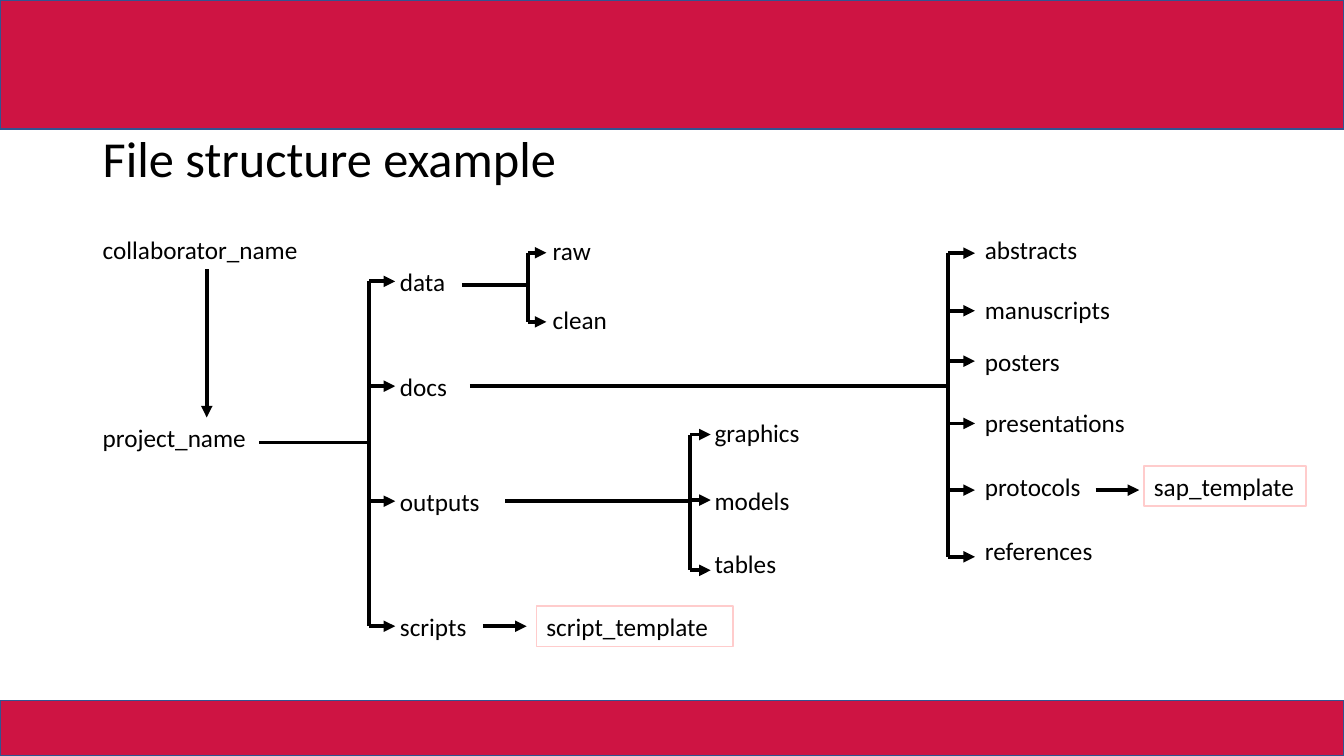
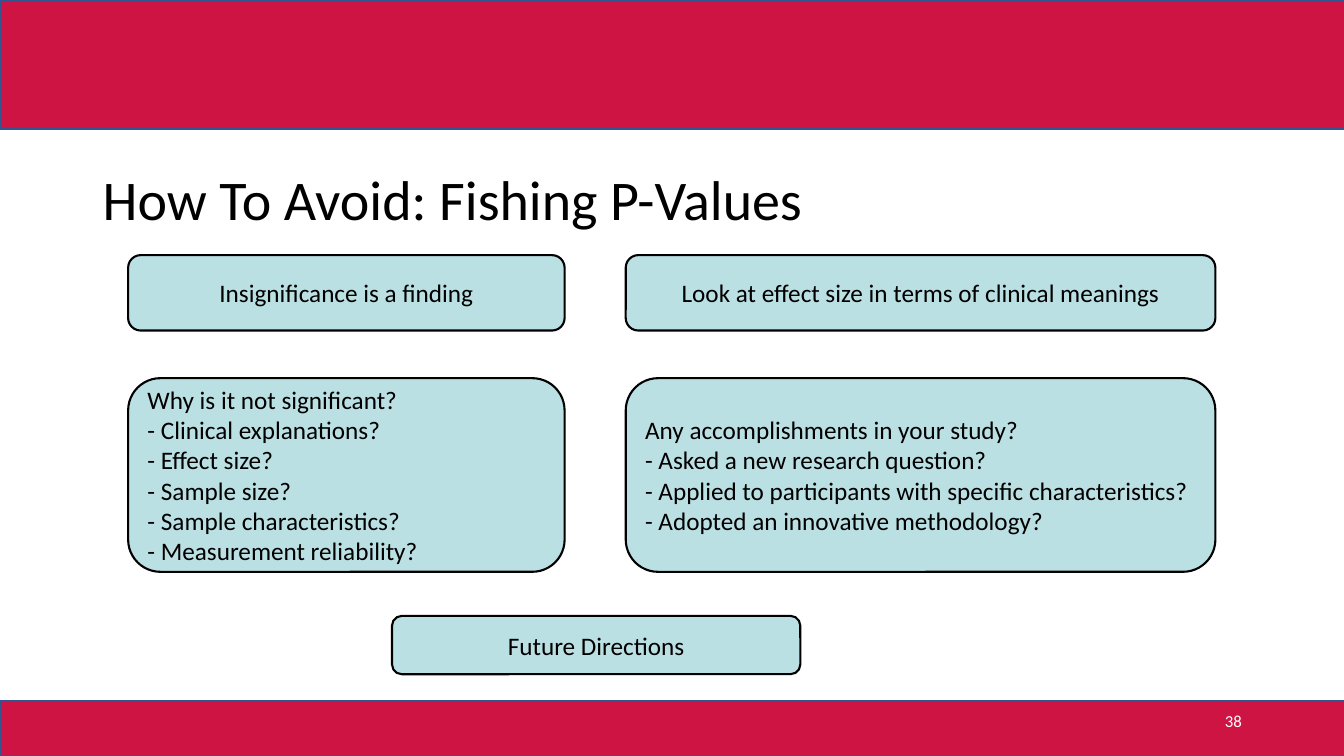
from dataclasses import dataclass

from lxml import etree
from pptx import Presentation
from pptx.dml.color import RGBColor
from pptx.enum.shapes import MSO_CONNECTOR, MSO_SHAPE
from pptx.enum.text import MSO_ANCHOR, PP_ALIGN
from pptx.oxml.ns import qn
from pptx.util import Cm, Pt

BLACK = RGBColor(0x00, 0x00, 0x00)
WHITE = RGBColor(0xFF, 0xFF, 0xFF)
CRIMSON = RGBColor(0xCE, 0x14, 0x43)
BAND_EDGE = RGBColor(0x32, 0x54, 0x91)
PALE_RED = RGBColor(0xFF, 0xCC, 0xCC)
PALE_TEAL = RGBColor(0xBB, 0xE0, 0xE3)

FONT = "Calibri"
BODY_SIZE = 18
LABEL_HEIGHT = 1.02


@dataclass
class Box:
    """An area in centimetres."""
    left: float
    top: float
    width: float
    height: float

    def inner(self, x, y, width, height):
        """Return an area whose corner is given relative to this one."""
        return Box(self.left + x, self.top + y, width, height)

    def lengths(self):
        return [Cm(n) for n in (self.left, self.top, self.width, self.height)]


PAGE = Box(0, 0, 33.87, 19.05)
HEADER = PAGE.inner(0, 0, PAGE.width, 3.25)
FOOTER = PAGE.inner(0, 17.65, PAGE.width, 1.4)


@dataclass
class Branch:
    """A stem that meets a vertical spine, with an arrow to each entry."""
    stem_start: float
    stem_y: float
    spine_x: float
    arrow_end: float
    label_x: float
    label_width: float
    entries: list  # (name, middle of the label, height of the arrow)


BRANCHES = [
    Branch(4.19, 5.38, 6.96, 7.62, 7.49, 2.7, [
        ("data", 1.32, 1.32), ("docs", 3.96, 3.96),
        ("outputs", 6.86, 6.86), ("scripts", 10.01, 10.01)]),
    Branch(9.3, 1.41, 10.97, 11.43, 11.34, 2.64, [
        ("raw", 0.53, 0.6), ("clean", 2.29, 2.34)]),
    Branch(10.39, 6.86, 15.06, 15.57, 15.42, 3.07, [
        ("graphics", 5.13, 5.18), ("models", 6.83, 6.83),
        ("tables", 8.43, 8.6)]),
    Branch(9.5, 3.96, 21.56, 22.23, 22.23, 4.1, [
        ("abstracts", 0.51, 0.61), ("manuscripts", 2.03, 2.06),
        ("posters", 3.33, 3.33), ("presentations", 4.88, 4.9),
        ("protocols", 6.48, 6.58), ("references", 8.1, 8.26)]),
]

# name, middle of the label, arrow start, arrow height, label left, label width
TEMPLATES = [
    ("script_template", 10.01, 9.83, 10.01, 11.18, 4.95),
    ("sap_template", 6.48, 25.27, 6.58, 26.49, 4.09),
]
TEMPLATE_ARROW = 1.1

ADVICE = [
    (11.0, "Insignificance is a finding", [
        "Why is it not significant?",
        "- Clinical explanations?",
        "- Effect size?",
        "- Sample size?",
        "- Sample characteristics?",
        "- Measurement reliability?"]),
    (14.86, "Look at effect size in terms of clinical meanings", [
        "Any accomplishments in your study?",
        "- Asked a new research question?",
        "- Applied to participants with specific characteristics?",
        "- Adopted an innovative methodology?"]),
]


def write(frame, lines, size=BODY_SIZE, color=BLACK, align=PP_ALIGN.LEFT,
          anchor=MSO_ANCHOR.MIDDLE, spacing=None):
    frame.word_wrap = True
    frame.vertical_anchor = anchor
    frame.text = "\n".join(lines)
    for paragraph in frame.paragraphs:
        paragraph.alignment = align
        paragraph.line_spacing = spacing
        paragraph.font.name = FONT
        paragraph.font.size = Pt(size)
        paragraph.font.color.rgb = color


def add_text(slide, box, text, **style):
    label = slide.shapes.add_textbox(*box.lengths())
    write(label.text_frame, [text], **style)
    return label


def add_panel(slide, box, preset, fill, edge, edge_width):
    panel = slide.shapes.add_shape(preset, *box.lengths())
    panel.shadow.inherit = False
    panel.fill.solid()
    panel.fill.fore_color.rgb = fill
    panel.line.color.rgb = edge
    panel.line.width = Pt(edge_width)
    return panel


def add_line(slide, box, start, end, arrow=False):
    """Join two points given relative to the box."""
    (x1, y1), (x2, y2) = start, end
    line = slide.shapes.add_connector(
        MSO_CONNECTOR.STRAIGHT, Cm(box.left + x1), Cm(box.top + y1),
        Cm(box.left + x2), Cm(box.top + y2))
    line.line.color.rgb = BLACK
    line.line.width = Pt(2.75)
    properties = line._element.spPr
    if arrow:
        outline = properties.find(qn("a:ln"))
        etree.SubElement(outline, qn("a:tailEnd"), type="triangle")
    etree.SubElement(properties, qn("a:effectLst"))


def add_label(slide, box, name, x, middle, width):
    area = box.inner(x, middle - LABEL_HEIGHT / 2, width, LABEL_HEIGHT)
    return add_text(slide, area, name)


def add_base(deck, title, title_box, size, anchor):
    """Add a slide with the two bands and its title."""
    slide = deck.slides.add_slide(deck.slide_layouts[6])
    for band in (HEADER, FOOTER):
        add_panel(slide, band, MSO_SHAPE.RECTANGLE, CRIMSON, BAND_EDGE, 1)
    add_text(slide, title_box, title, size=size, anchor=anchor, spacing=0.9)
    return slide


def add_branch(slide, box, branch):
    spine = branch.spine_x
    heights = [arrow_y for _, _, arrow_y in branch.entries]
    add_line(slide, box, (branch.stem_start, branch.stem_y),
             (spine, branch.stem_y))
    add_line(slide, box, (spine, heights[0]), (spine, heights[-1]))
    for name, middle, arrow_y in branch.entries:
        add_line(slide, box, (spine, arrow_y), (branch.arrow_end, arrow_y),
                 arrow=True)
        add_label(slide, box, name, branch.label_x, middle,
                  branch.label_width)


def add_folder_tree(slide, box):
    for name, middle in (("collaborator_name", 0.51), ("project_name", 5.26)):
        add_label(slide, box, name, 0, middle, 5.77)
    add_line(slide, box, (2.87, 1.02), (2.87, 4.75), arrow=True)
    for branch in BRANCHES:
        add_branch(slide, box, branch)
    for name, middle, start, arrow_y, left, width in TEMPLATES:
        add_line(slide, box, (start, arrow_y),
                 (start + TEMPLATE_ARROW, arrow_y), arrow=True)
        template = add_label(slide, box, name, left, middle, width)
        template.line.color.rgb = PALE_RED
        template.line.width = Pt(1.25)


def add_card(slide, box, lines, align):
    card = add_panel(slide, box, MSO_SHAPE.ROUNDED_RECTANGLE, PALE_TEAL,
                     BLACK, 1.5)
    write(card.text_frame, lines, align=align)


def add_advice(slide, box):
    """Two columns of heading and details above a closing card."""
    x, gap = 0, 1.54
    for width, heading, details in ADVICE:
        add_card(slide, box.inner(x, 0, width, 1.9), [heading],
                 PP_ALIGN.CENTER)
        add_card(slide, box.inner(x, 3.1, width, 4.88), details,
                 PP_ALIGN.LEFT)
        x += width + gap
    add_card(slide, box.inner(6.65, 9.09, 10.29, 1.47), ["Future Directions"],
             PP_ALIGN.CENTER)


def build_file_structure(deck):
    slide = add_base(deck, "File structure example",
                     Box(2.34, 3.25, 29.21, 1.83), 36, MSO_ANCHOR.TOP)
    add_folder_tree(slide, Box(2.34, 5.77, 30.58, 10.52))


def build_fishing(deck):
    slide = add_base(deck, "How To Avoid: Fishing P-Values",
                     Box(2.34, 3.25, 29.21, 3.68), 40, MSO_ANCHOR.MIDDLE)
    add_advice(slide, Box(3.23, 6.43, 27.4, 10.56))
    add_text(slide, FOOTER.inner(23.93, 0, 7.62, 1.02), "38", size=12,
             color=WHITE, align=PP_ALIGN.RIGHT)


def main():
    deck = Presentation()
    deck.slide_width = Cm(PAGE.width)
    deck.slide_height = Cm(PAGE.height)
    build_file_structure(deck)
    build_fishing(deck)
    deck.save("out.pptx")


if __name__ == "__main__":
    main()
